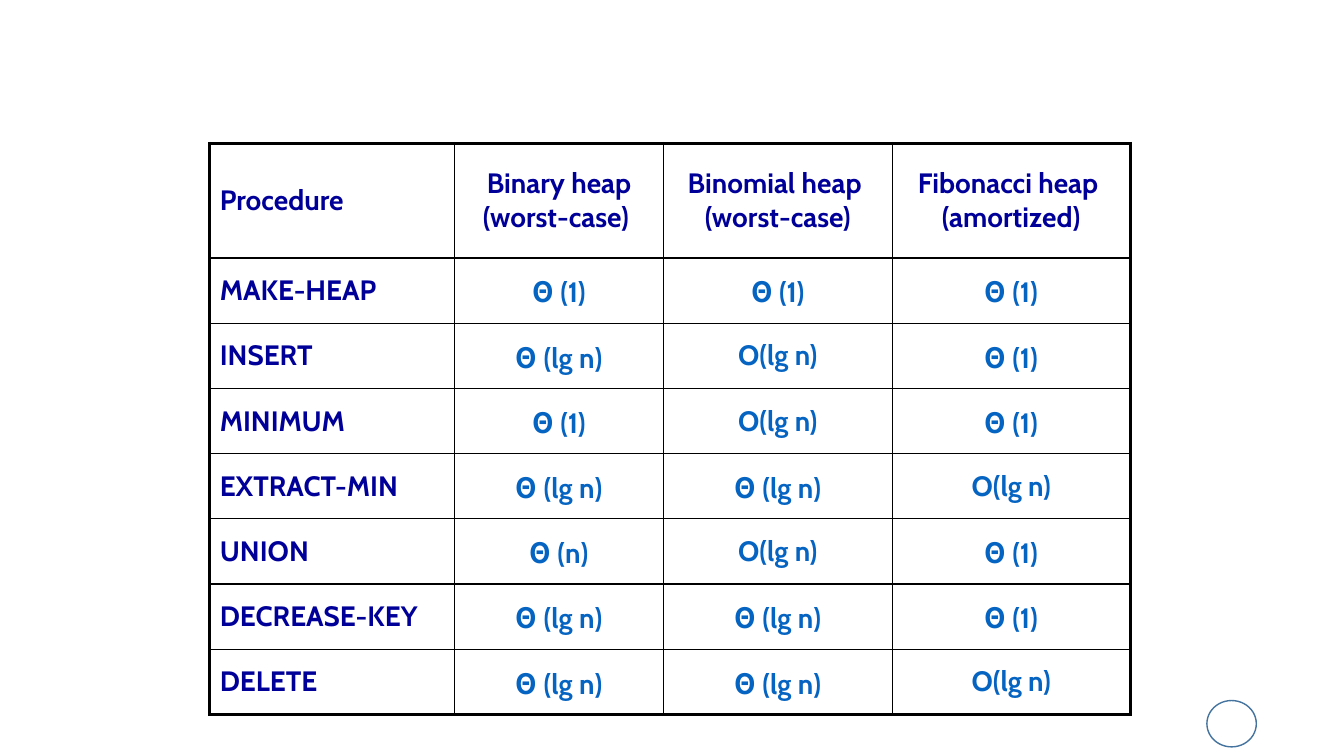
from dataclasses import dataclass

from lxml.etree import SubElement
from pptx import Presentation
from pptx.dml.color import RGBColor
from pptx.enum.shapes import MSO_SHAPE
from pptx.enum.text import MSO_ANCHOR, PP_ALIGN
from pptx.oxml.ns import qn
from pptx.util import Inches, Pt


@dataclass(frozen=True)
class Theme:
    label: RGBColor = RGBColor(0x00, 0x00, 0x99)
    bound: RGBColor = RGBColor(0x05, 0x63, 0xC1)
    ring: RGBColor = RGBColor(0x43, 0x73, 0x9E)
    border: str = "000000"
    font: str = "Cabin"
    theta_font: str = "Noto Sans CJK TC"
    size: Pt = Pt(20)
    inner_line: Pt = Pt(1)
    outer_line: Pt = Pt(2.25)


THEME = Theme()
COLUMN_WIDTHS = (2.43, 2.07, 2.27, 2.36)
HEADER_HEIGHT = 1.14
HEAP_ROWS = (
    ("Procedure", "Binary heap\n(worst-case) ", "Binomial heap \n(worst-case)", "Fibonacci heap \n(amortized)"),
    ("MAKE-HEAP", "Θ (1)", "Θ (1)", "Θ (1)"),
    ("INSERT", "Θ (lg n)", "O(lg n)", "Θ (1)"),
    ("MINIMUM", "Θ (1)", "O(lg n)", "Θ (1)"),
    ("EXTRACT-MIN", "Θ (lg n)", "Θ (lg n)", "O(lg n)"),
    ("UNION", "Θ (n)", "O(lg n)", "Θ (1)"),
    ("DECREASE-KEY", "Θ (lg n)", "Θ (lg n)", "Θ (1)"),
    ("DELETE", "Θ (lg n)", "Θ (lg n)", "O(lg n)"),
)


def add_run(paragraph, text, color, font_name=THEME.font):
    run = paragraph.add_run()
    run.text = text
    run.font.color.rgb = color
    for name, value in {"name": font_name, "size": THEME.size, "bold": True}.items():
        setattr(run.font, name, value)


def write_cell(cell, text, color, alignment):
    """Write the text, giving a leading theta its own font."""
    cell.vertical_anchor = MSO_ANCHOR.MIDDLE
    paragraph = cell.text_frame.paragraphs[0]
    paragraph.alignment = alignment
    for index, line in enumerate(text.split("\n")):
        if index:
            paragraph.add_line_break()
        if line.startswith("Θ"):
            add_run(paragraph, "Θ", color, THEME.theta_font)
            line = line[1:]
        add_run(paragraph, line, color)


def draw_borders(cell, outer_sides):
    """Draw all four sides, with a heavy line on the table's outline."""
    properties = cell._tc.get_or_add_tcPr()
    for side in "LRTB":
        width = THEME.outer_line if side in outer_sides else THEME.inner_line
        line = SubElement(properties, qn(f"a:ln{side}"), w=str(int(width)))
        fill = SubElement(line, qn("a:solidFill"))
        SubElement(fill, qn("a:srgbClr"), val=THEME.border)
    cell.fill.background()


def add_heap_table(slide, left, top, width, height):
    last_row, last_column = len(HEAP_ROWS) - 1, len(COLUMN_WIDTHS) - 1
    frame = slide.shapes.add_table(
        last_row + 1, last_column + 1, Inches(left), Inches(top), Inches(width), Inches(height))
    table = frame.table
    table.first_row = table.horz_banding = False
    for column, column_width in zip(table.columns, COLUMN_WIDTHS):
        column.width = Inches(column_width)
    for row_index, texts in enumerate(HEAP_ROWS):
        row_height = (height - HEADER_HEIGHT) / last_row if row_index else HEADER_HEIGHT
        table.rows[row_index].height = Inches(row_height)
        for column_index, text in enumerate(texts):
            cell = table.cell(row_index, column_index)
            is_bound = row_index > 0 and column_index > 0
            write_cell(cell, text, THEME.bound if is_bound else THEME.label,
                       PP_ALIGN.CENTER if column_index else PP_ALIGN.LEFT)
            on_outline = {"L": column_index == 0, "R": column_index == last_column,
                          "T": row_index == 0, "B": row_index == last_row}
            draw_borders(cell, [side for side, outer in on_outline.items() if outer])


def add_page_ring(slide, left, top, width, height):
    ring = slide.shapes.add_shape(
        MSO_SHAPE.OVAL, Inches(left), Inches(top), Inches(width), Inches(height))
    ring.shadow.inherit = False
    ring.fill.background()
    ring.line.color.rgb = THEME.ring
    ring.line.width = Pt(1)


def main():
    presentation = Presentation()
    presentation.slide_width = Inches(13.33)
    presentation.slide_height = Inches(7.5)
    slide = presentation.slides.add_slide(presentation.slide_layouts[6])
    add_page_ring(slide, 11.97, 6.95, 0.49, 0.46)
    add_heap_table(slide, 2.08, 1.42, sum(COLUMN_WIDTHS), 5.67)
    presentation.save("out.pptx")


if __name__ == "__main__":
    main()
